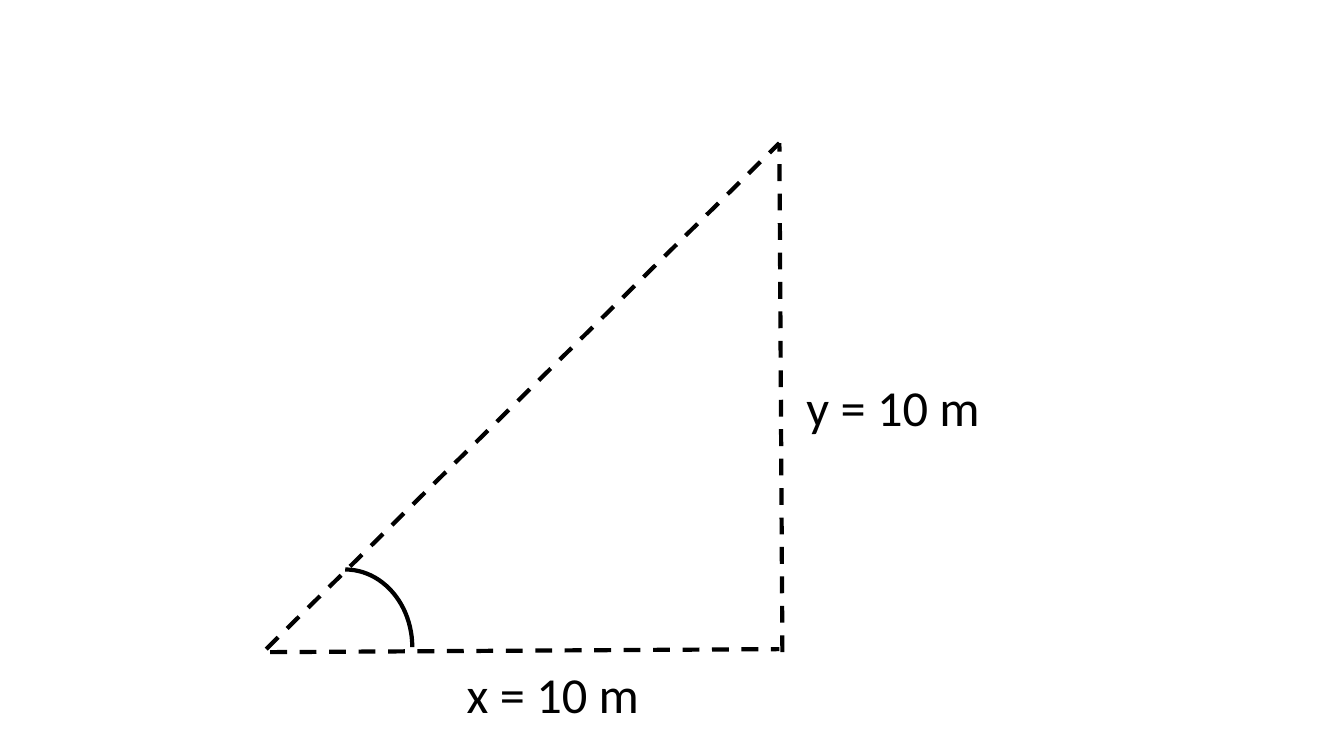
from lxml import etree
from pptx import Presentation
from pptx import util as u
from pptx.dml.color import RGBColor
from pptx.enum import dml, shapes, text
from pptx.oxml.ns import qn

COLORS = {"ink": "000000"}
COLUMNS, ROWS = 13.33, 7.5  # grid of one-inch cells
LINE_WIDTH = u.Pt(3)


def cells(*counts):
    return [u.Inches(count) for count in counts]


ink = RGBColor.from_string(COLORS["ink"])
presentation = Presentation()
presentation.slide_width, presentation.slide_height = cells(COLUMNS, ROWS)
slide = presentation.slides.add_slide(presentation.slide_layouts[6])

# Dashed sides of the triangle: hypotenuse, base, height
left, right, top, bottom = 2.64, 7.73, 1.42, 6.44
offset = 0.03
sides = [
    (left, bottom, right, top),
    (left + 0.04, bottom + offset, right, bottom),
    (right + offset, bottom + offset, right, top),
]
for side in sides:
    connector = slide.shapes.add_connector(shapes.MSO_CONNECTOR.STRAIGHT, *cells(*side))
    connector.line.color.rgb = ink
    connector.line.width = LINE_WIDTH
    connector.line.dash_style = dml.MSO_LINE.DASH
    etree.SubElement(connector._element.spPr, qn("a:effectLst"))

# Side lengths
labels = [("x = 10 m", 4.53, 6.53), ("y = 10 m", 7.9, 3.68)]
for wording, column, row in labels:
    label = slide.shapes.add_textbox(*cells(column, row, 1.93, 0.71))
    frame = label.text_frame
    frame.text = wording
    frame.word_wrap = False
    frame.auto_size = text.MSO_AUTO_SIZE.SHAPE_TO_FIT_TEXT
    font = frame.paragraphs[0].runs[0].font
    font.name = "Calibri"
    font.size = u.Pt(36)
    font.color.rgb = ink

# Angle mark
angle = slide.shapes.add_shape(shapes.MSO_SHAPE.ARC, *cells(2.76, 5.65, 1.33, 1.54))
angle.shadow.inherit = False
angle.fill.background()
angle.line.color.rgb = ink
angle.line.width = LINE_WIDTH

presentation.save("out.pptx")
